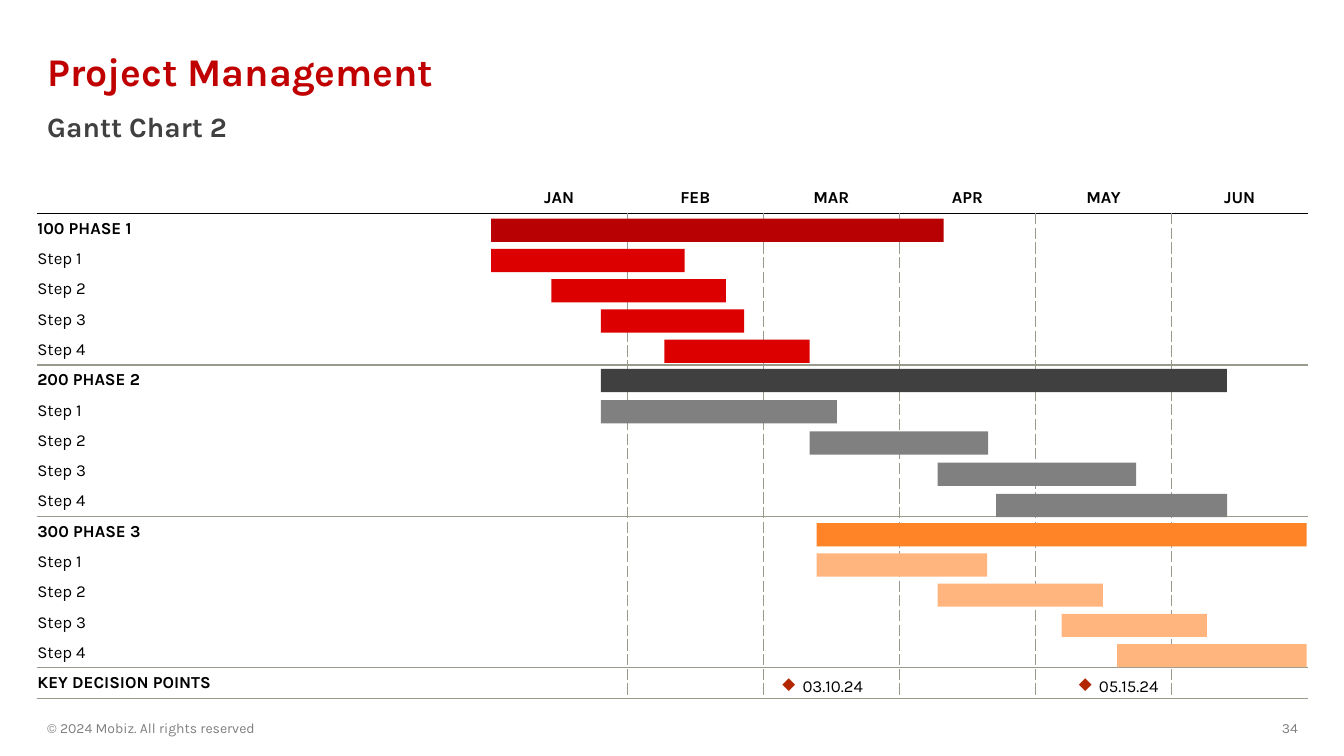
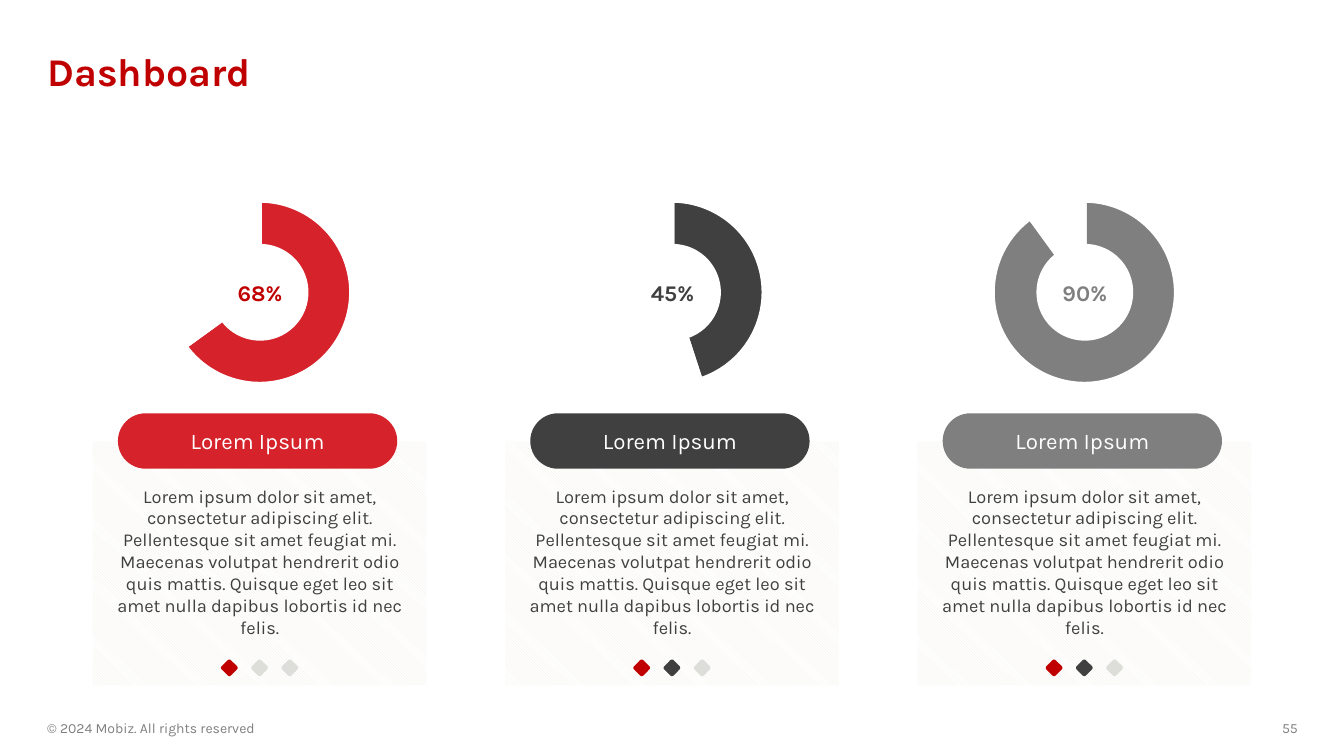
from lxml import etree
from pptx import Presentation
from pptx.chart.data import CategoryChartData
from pptx.dml.color import RGBColor
from pptx.enum.chart import XL_CHART_TYPE
from pptx.enum.dml import MSO_PATTERN
from pptx.enum.shapes import MSO_SHAPE
from pptx.enum.text import MSO_ANCHOR, PP_ALIGN
from pptx.oxml.ns import qn
from pptx.util import Inches, Pt

RECT, ROUND, OVAL = MSO_SHAPE.RECTANGLE, MSO_SHAPE.ROUNDED_RECTANGLE, MSO_SHAPE.OVAL
LEFT, CENTER, RIGHT = PP_ALIGN.LEFT, PP_ALIGN.CENTER, PP_ALIGN.RIGHT
TOP, MIDDLE = MSO_ANCHOR.TOP, MSO_ANCHOR.MIDDLE
STRIPES = MSO_PATTERN.LIGHT_DOWNWARD_DIAGONAL
PIE = XL_CHART_TYPE.PIE

FONT = "Karla"
RED, ROSE, DARK, GRAY = "C00000", "D6222B", "404040", "808080"
ASH, PALE, RULE, BLACK, WHITE = "7F7F7F", "DDDDD9", "9A9A8C", "000000", "FFFFFF"

MONTHS = ["JAN", "FEB", "MAR", "APR", "MAY", "JUN"]
STEPS = ["Step 1", "Step 2", "Step 3", "Step 4"]
LABELS = ["100 PHASE 1", *STEPS, "200 PHASE 2", *STEPS, "300 PHASE 3", *STEPS,
          "KEY DECISION POINTS"]
HEAD, ROW = 0.31, 4.74 / len(LABELS)

# Each phase: first top, pitch, phase colour, step colour, (left, width) of bars
PHASES = [
    (2.17, 0.3, "B70103", "DC0000",
     [(4.87, 4.49), (4.87, 1.92), (5.47, 1.73), (5.96, 1.42), (6.59, 1.44)]),
    (3.66, 0.31, DARK, GRAY,
     [(5.96, 6.21), (5.96, 2.34), (8.03, 1.77), (9.3, 1.97), (9.88, 2.29)]),
    (5.19, 0.3, "FF8427", "FFB57D",
     [(8.1, 4.86), (8.1, 1.69), (9.3, 1.64), (10.53, 1.44), (11.08, 1.88)]),
]
DATES = [(7.71, "03.10.24"), (10.65, "05.15.24")]

# Each card: label, slice value, slice colour, label colour, dot colours
CARDS = [
    ("68%", 65, ROSE, RED, [RED, PALE, PALE]),
    ("45%", 45, DARK, DARK, [RED, DARK, PALE]),
    ("90%", 90, ASH, ASH, [RED, DARK, PALE]),
]
LOREM = ("Lorem ipsum dolor sit amet, consectetur adipiscing elit. Pellentesque sit amet "
         "feugiat mi. Maecenas volutpat hendrerit odio quis mattis. Quisque eget leo sit "
         "amet nulla dapibus lobortis id nec felis.")


def color(code):
    return RGBColor.from_string(code)


def box(*sides):
    return [Inches(side) for side in sides]


class Deck:
    def __init__(self):
        self.prs = Presentation()
        self.prs.slide_width, self.prs.slide_height = box(13.33, 7.5)
        self.slide = None

    def page(self, title, number):
        """Start a slide with its title and footer."""
        self.slide = self.prs.slides.add_slide(self.prs.slide_layouts[5])
        head = self.slide.shapes.title
        head.left, head.top, head.width, head.height = box(0.37, 0.4, 12.6, 0.67)
        self.label(head.text_frame, title, 28, RED, bold=True, spacing=0.9)
        self.text((0.37, 7.1, 4.5, 0.25), "© 2024 Mobiz. All rights reserved",
                  10, GRAY)
        self.text((11.75, 7.1, 1.22, 0.25), str(number), 10, GRAY, align=RIGHT)

    def label(self, frame, text, size, ink, bold=False, align=LEFT, anchor=MIDDLE,
              inset=None, spacing=None):
        frame.text = text
        frame.word_wrap = True
        frame.vertical_anchor = anchor
        if inset is not None:
            frame.margin_left = frame.margin_right = Inches(inset)
            frame.margin_top = frame.margin_bottom = Inches(inset)
        para = frame.paragraphs[0]
        para.alignment = align
        if spacing:
            para.line_spacing = spacing
        self.style(para, size, ink, bold)

    def style(self, para, size, ink, bold):
        for run in para.runs:
            run.font.name, run.font.size, run.font.bold = FONT, Pt(size), bold
            run.font.color.rgb = color(ink)

    def text(self, area, text, size, ink, **look):
        frame = self.slide.shapes.add_textbox(*box(*area)).text_frame
        self.label(frame, text, size, ink, **look)
        return frame

    def shape(self, kind, area, fill):
        item = self.slide.shapes.add_shape(kind, *box(*area))
        item.shadow.inherit = False
        item.line.fill.background()
        item.fill.solid()
        item.fill.fore_color.rgb = color(fill)
        return item

    def panel(self, area):
        fill = self.shape(RECT, area, WHITE).fill
        fill.patterned()
        fill.pattern = STRIPES
        fill.fore_color.rgb = color("EEECE1")
        fill.back_color.rgb = color(WHITE)

    def mark(self, left, date):
        """Date with a diamond bullet."""
        frame = self.text((left, 6.65, 1.24, 0.28), date, 12, BLACK,
                          anchor=TOP, inset=0.05)
        props = frame.paragraphs[0]._p.get_or_add_pPr()
        props.set("marL", str(Inches(0.2)))
        props.set("indent", str(-Inches(0.2)))
        tint = etree.SubElement(props, qn("a:buClr"))
        etree.SubElement(tint, qn("a:srgbClr"), val="B22600")
        etree.SubElement(props, qn("a:buChar"), char="◆")

    def edge(self, cell, side, ink, dash="solid"):
        """Border on one side of a cell; no ink means no line."""
        line = etree.SubElement(cell._tc.get_or_add_tcPr(), qn("a:ln" + side),
                                w=str(Pt(1)))
        if ink is None:
            etree.SubElement(line, qn("a:noFill"))
            return
        fill = etree.SubElement(line, qn("a:solidFill"))
        etree.SubElement(fill, qn("a:srgbClr"), val=ink)
        etree.SubElement(line, qn("a:prstDash"), val=dash)

    def grid(self):
        rows, cols = len(LABELS) + 1, len(MONTHS) + 1
        table = self.slide.shapes.add_table(
            rows, cols, *box(0.37, 1.81, 12.6, HEAD + ROW * len(LABELS))).table
        table.first_row = table.horz_banding = False
        for col, width in zip(table.columns, [4.5] + [1.35] * len(MONTHS)):
            col.width = Inches(width)
        for row, height in zip(table.rows, [HEAD] + [ROW] * len(LABELS)):
            row.height = Inches(height)

        # Line under each row, keyed by row
        rules = {0: BLACK, 5: RULE, 10: RULE, 15: RULE, 16: RULE}
        for r in range(rows):
            for c in range(cols):
                cell = table.cell(r, c)
                self.cell(cell, r, c)
                for side, inner in (("L", c > 1), ("R", 0 < c < cols - 1)):
                    if r and inner:
                        self.edge(cell, side, RULE, "dash")
                    else:
                        self.edge(cell, side, WHITE)
                self.edge(cell, "T", rules.get(r - 1))
                self.edge(cell, "B", rules.get(r))
                cell.fill.background()

    def cell(self, cell, r, c):
        cell.vertical_anchor = MIDDLE
        pad = 0.05 if r else 0.04
        cell.margin_top = cell.margin_bottom = Inches(pad)
        para = cell.text_frame.paragraphs[0]
        if r and not c:
            cell.margin_left = 0
            para.text = LABELS[r - 1]
        elif c and not r:
            para.text = MONTHS[c - 1]
            para.alignment = CENTER
        else:
            etree.SubElement(para._p, qn("a:endParaRPr"), sz="1000")
        self.style(para, 12, BLACK, para.text not in STEPS)

    def pie(self, area, value, fill):
        data = CategoryChartData()
        data.categories = ["1", "2"]
        data.add_series("Series 1", [value, 100 - value])
        chart = self.slide.shapes.add_chart(PIE, *box(*area), data).chart
        chart.has_legend = chart.has_title = False
        chart.font.name, chart.font.size = "Lato", Pt(10)
        chart.font.color.rgb = color(BLACK)
        plot = chart.plots[0]
        plot.vary_by_categories = False
        for index, ink in enumerate([fill, WHITE]):
            form = plot.series[0].points[index].format
            form.fill.solid()
            form.fill.fore_color.rgb = color(ink)
            form.line.color.rgb = color(WHITE)
            form.line.width = Pt(3.25)

        # Fixed plot area, centred in the chart
        zone = chart.element.find(".//" + qn("c:plotArea"))
        for old in zone.findall(qn("c:layout")):
            zone.remove(old)
        layout = etree.Element(qn("c:layout"))
        zone.insert(0, layout)
        manual = etree.SubElement(layout, qn("c:manualLayout"))
        for tag, val in (("layoutTarget", "inner"), ("xMode", "edge"),
                         ("yMode", "edge"), ("x", "0.095"), ("y", "0.065"),
                         ("w", "0.81"), ("h", "0.87")):
            etree.SubElement(manual, qn("c:" + tag), val=val)

    def card(self, left, label, value, fill, ink, dots):
        self.panel((left, 4.38, 3.31, 2.42))
        self.pie((left + 0.53, 1.85, 2.25, 2.1), value, fill)
        hub = self.shape(OVAL, (left + 1.18, 2.42, 0.96, 0.96), WHITE)
        self.label(hub.text_frame, label, 16, ink, bold=True, align=CENTER, inset=0)
        pill = self.shape(ROUND, (left + 0.25, 4.1, 2.77, 0.55), fill)
        pill.adjustments[0] = 0.5
        self.label(pill.text_frame, "Lorem Ipsum", 16, WHITE, align=CENTER)
        self.text((left + 0.18, 4.81, 2.95, 1.53), LOREM, 13, DARK,
                  align=CENTER, anchor=TOP, inset=0)
        for index, dot in enumerate(dots):
            gem = self.shape(ROUND, (left + 1.29 + 0.3 * index, 6.56, 0.13, 0.13), dot)
            gem.rotation = 315


def main():
    deck = Deck()

    # Gantt chart
    deck.page("Project Management", 34)
    deck.text((0.37, 1.08, 12.6, 0.47), "Gantt Chart 2", 20, DARK, bold=True,
              anchor=TOP, spacing=0.9)
    deck.grid()
    for top, pitch, main_ink, step_ink, bars in PHASES:
        for index, (left, width) in enumerate(bars):
            deck.shape(RECT, (left, top + pitch * index, width, 0.23),
                       step_ink if index else main_ink)
    for left, date in DATES:
        deck.mark(left, date)

    # Dashboard
    deck.page("Dashboard", 55)
    for index, card in enumerate(CARDS):
        deck.card(0.92 + 4.09 * index, *card)

    deck.prs.save("out.pptx")


if __name__ == "__main__":
    main()
